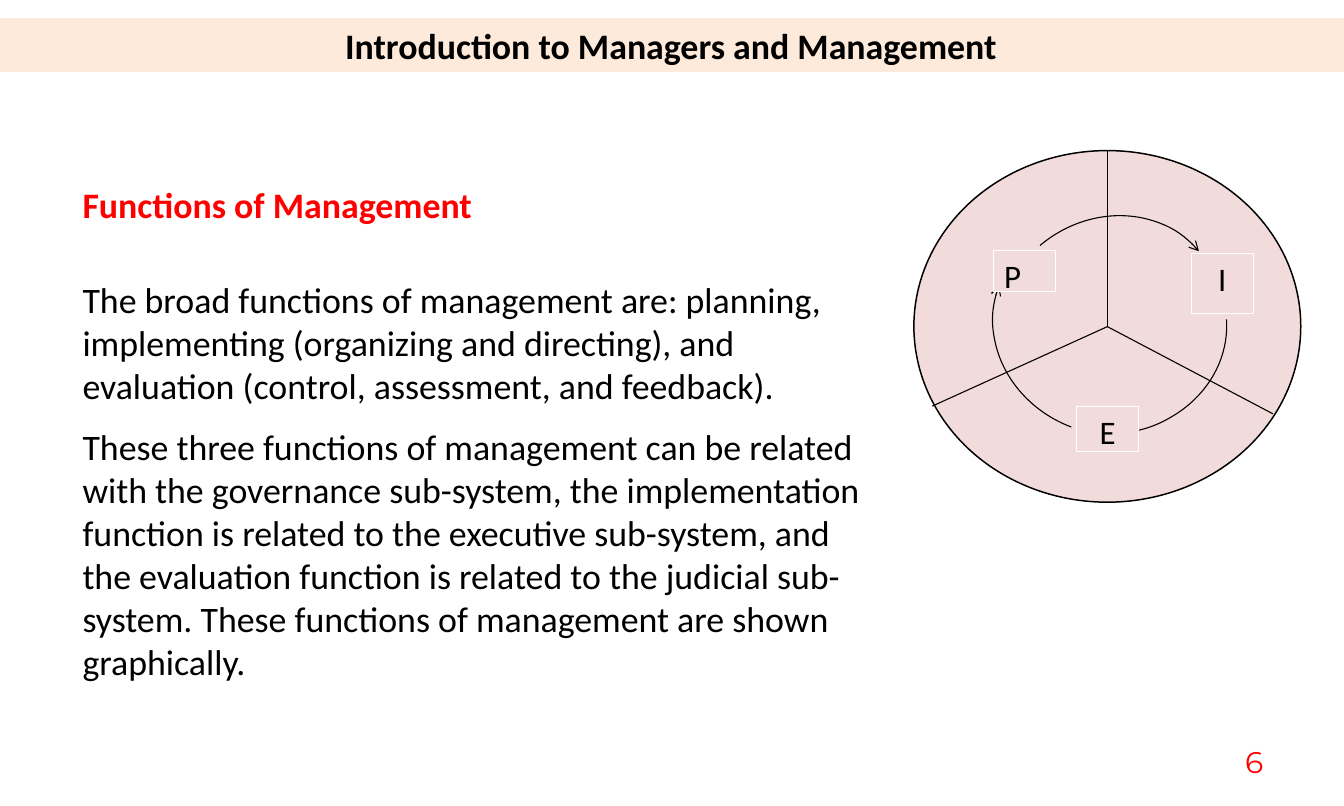
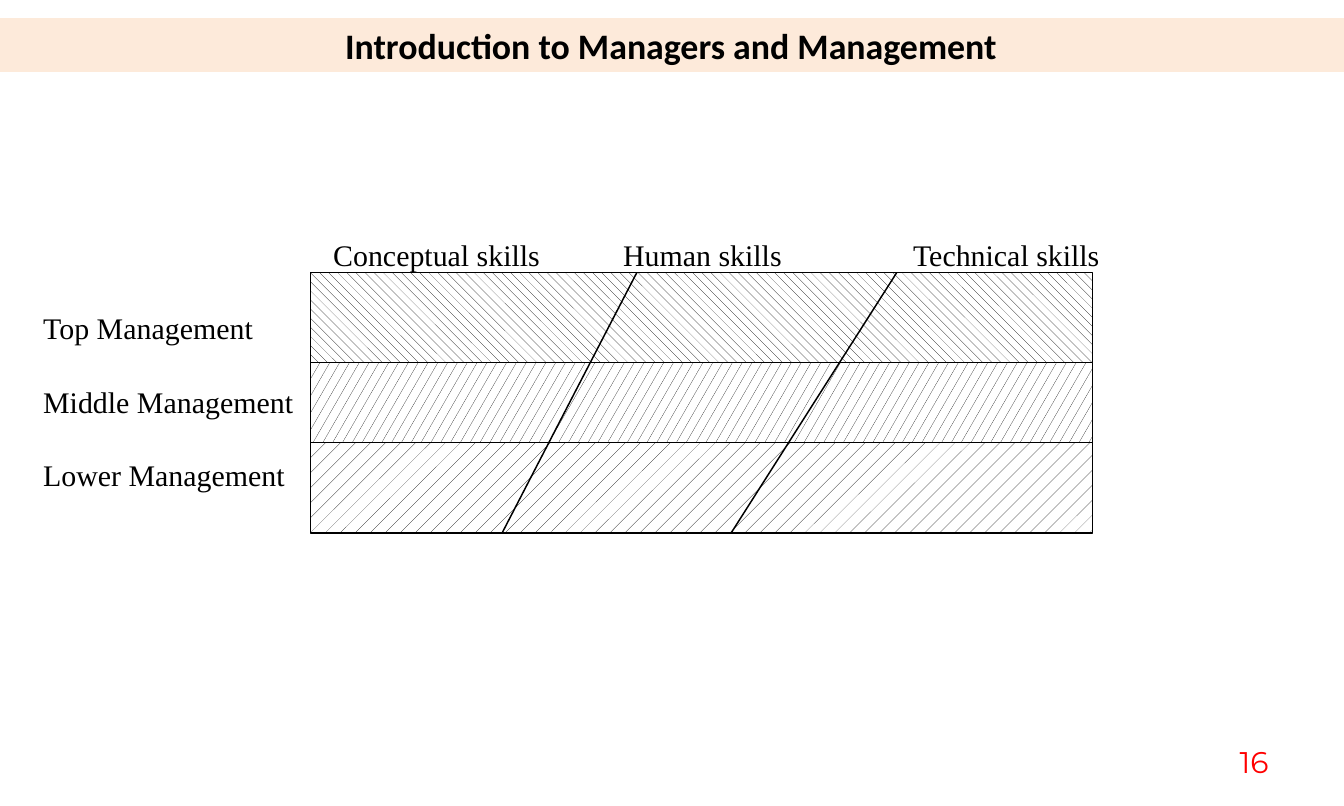
from lxml.etree import SubElement
from pptx import Presentation
from pptx.dml.color import RGBColor
from pptx.enum.dml import MSO_PATTERN as Pattern
from pptx.enum.shapes import MSO_CONNECTOR as Connector, MSO_SHAPE as Shape
from pptx.enum.text import MSO_ANCHOR as Anchor, MSO_AUTO_SIZE as AutoSize, PP_ALIGN as Align
from pptx.oxml.ns import qn
from pptx.util import Cm, Pt

COLORS = {
    "ink": "000000",
    "paper": "FFFFFF",
    "accent": "FF0000",
    "band": "FDEADA",
    "rose": "F2DCDB",
}
TITLE_ONLY = 5
PLAIN_TABLE = "{2D5ABB26-0587-4C30-8999-92F81FD0307C}"


def rgb(name):
    return RGBColor.from_string(COLORS[name])


def write(frame, text, size=24, color="ink", bold=False, font="Calibri",
          align=Align.LEFT, before=0, after=0, spacing=1.0):
    """Put one paragraph at the end of a text frame."""
    para = frame.add_paragraph() if frame.text else frame.paragraphs[0]
    para.alignment, para.line_spacing = align, spacing
    para.space_before, para.space_after = Pt(before), Pt(after)
    run = para.add_run()
    run.text = text
    run.font.name, run.font.size, run.font.bold = font, Pt(size), bold
    run.font.color.rgb = rgb(color)


class Deck:
    def __init__(self):
        self.prs = Presentation()
        self.prs.slide_width, self.prs.slide_height = Cm(31.75), Cm(19.05)
        self.slide = None

    def start(self, title, number):
        """New slide with the title band and the page number."""
        self.slide = self.prs.slides.add_slide(self.prs.slide_layouts[TITLE_ONLY])
        band = self.slide.shapes.title
        band.left, band.top, band.width, band.height = Cm(-0.05), Cm(0.43), Cm(31.8), Cm(1.27)
        band.fill.solid()
        band.fill.fore_color.rgb = rgb("band")
        band.text_frame.auto_size = AutoSize.NONE
        write(band.text_frame, title, bold=True, align=Align.CENTER)
        page = self.text(28.78, 17.35, 1.7, 1.32)
        page.vertical_anchor = Anchor.MIDDLE
        write(page, str(number), size=20, color="accent", font="Montserrat", align=Align.CENTER)

    def text(self, left, top, width, height):
        box = self.slide.shapes.add_textbox(Cm(left), Cm(top), Cm(width), Cm(height))
        box.text_frame.word_wrap = True
        return box.text_frame

    def shape(self, kind, left, top, width, height, fill="rose", line="ink",
              weight=0.75, pattern=None):
        shape = self.slide.shapes.add_shape(kind, Cm(left), Cm(top), Cm(width), Cm(height))
        shape.shadow.inherit = False
        if pattern is None:
            shape.fill.solid()
        else:
            shape.fill.patterned()
            shape.fill.pattern = pattern
            shape.fill.back_color.rgb = rgb("paper")
        shape.fill.fore_color.rgb = rgb(fill)
        shape.line.color.rgb = rgb(line)
        shape.line.width = Pt(weight)
        return shape

    def label(self, text, left, top, height, align=Align.CENTER):
        box = self.shape(Shape.RECTANGLE, left, top, 1.47, height, line="paper")
        box.text_frame.vertical_anchor = Anchor.TOP
        write(box.text_frame, text, size=22, align=align)

    def arc_arrow(self, center, width, height, rotation):
        x, y = center
        arc = self.shape(Shape.ARC, x - width / 2, y - height / 2, width, height)
        arc.rotation = rotation
        SubElement(arc.line._get_or_add_ln(), qn("a:tailEnd"), type="arrow")

    def line(self, start, end, weight=0.75):
        ends = [Cm(value) for value in (*start, *end)]
        line = self.slide.shapes.add_connector(Connector.STRAIGHT, *ends)
        line.line.color.rgb = rgb("ink")
        line.line.width = Pt(weight)
        SubElement(line._element.spPr, qn("a:effectLst"))

    def table(self, rows, left, top, column_width, row_height):
        count = len(rows[0])
        frame = self.slide.shapes.add_table(
            len(rows), count, Cm(left), Cm(top),
            Cm(column_width * count), Cm(row_height * len(rows)))
        table = frame.table
        table.first_row = table.horz_banding = False
        table._tbl.tblPr.find(qn("a:tableStyleId")).text = PLAIN_TABLE
        for r, texts in enumerate(rows):
            for c, text in enumerate(texts):
                cell = table.cell(r, c)
                cell.fill.background()
                cell.margin_left = cell.margin_right = Cm(0.18)
                cell.margin_top = cell.margin_bottom = 0
                if text:
                    write(cell.text_frame, text, size=20, font="Times New Roman",
                          align=Align.JUSTIFY, spacing=1.15)


def functions_slide(deck, title):
    deck.start(title, 6)

    # Circle of planning, implementing and evaluation
    hub = (26.16, 7.72)
    deck.shape(Shape.OVAL, 21.59, 3.56, 9.14, 8.31, weight=1)
    for width, height, rotation in ((5.56, 5.05, 319.8), (5.05, 5.56, 86.3), (5.56, 5.05, 200.7)):
        deck.arc_arrow((26.2, 7.73), width, height, rotation)
    deck.label("P", 23.47, 5.92, 0.97, align=Align.LEFT)
    deck.label("I", 28.14, 5.99, 1.42)
    deck.label("E", 25.43, 9.6, 1.07)
    for rim in ((26.16, 3.56), (22.02, 9.6), (30.07, 9.78)):
        deck.line(hub, rim)

    # Explanation
    body = deck.text(1.7, 4.19, 19.25, 11.15)
    write(body, "Functions of Management", color="accent", bold=True)
    write(body, "The broad functions of management are: planning, implementing "
                "(organizing and directing), and evaluation (control, assessment, "
                "and feedback).", before=35, after=6)
    write(body, "These three functions of management can be related with the governance "
                "sub-system, the implementation function is related to the executive "
                "sub-system, and the evaluation function is related to the judicial "
                "sub-system. These functions of management are shown graphically.",
          before=6, after=6)


def skills_slide(deck, title):
    deck.start(title, 16)

    # One patterned layer per management level
    top = layer_top = 6.45
    for height, pattern in ((2.11, Pattern.DASHED_DOWNWARD_DIAGONAL),
                            (1.91, Pattern.SMALL_CONFETTI),
                            (2.13, Pattern.PERCENT_5)):
        deck.shape(Shape.RECTANGLE, 7.34, layer_top, 18.47, height, fill="ink", pattern=pattern)
        layer_top += height

    # Borders between the skills
    for upper, lower in ((15.04, 11.86), (21.18, 17.27)):
        deck.line((upper, top), (lower, layer_top), weight=1)

    # Names of skills and levels
    skills = ["", "Conceptual skills", "Human skills", "Technical skills"]
    levels = [[f"{level} Management", "", "", ""] for level in ("Top", "Middle", "Lower")]
    deck.table([skills, *levels], 0.84, 5.54, column_width=6.85, row_height=1.74)


def main():
    deck = Deck()
    title = "Introduction to Managers and Management"
    functions_slide(deck, title)
    skills_slide(deck, title)
    deck.prs.save("out.pptx")


if __name__ == "__main__":
    main()
